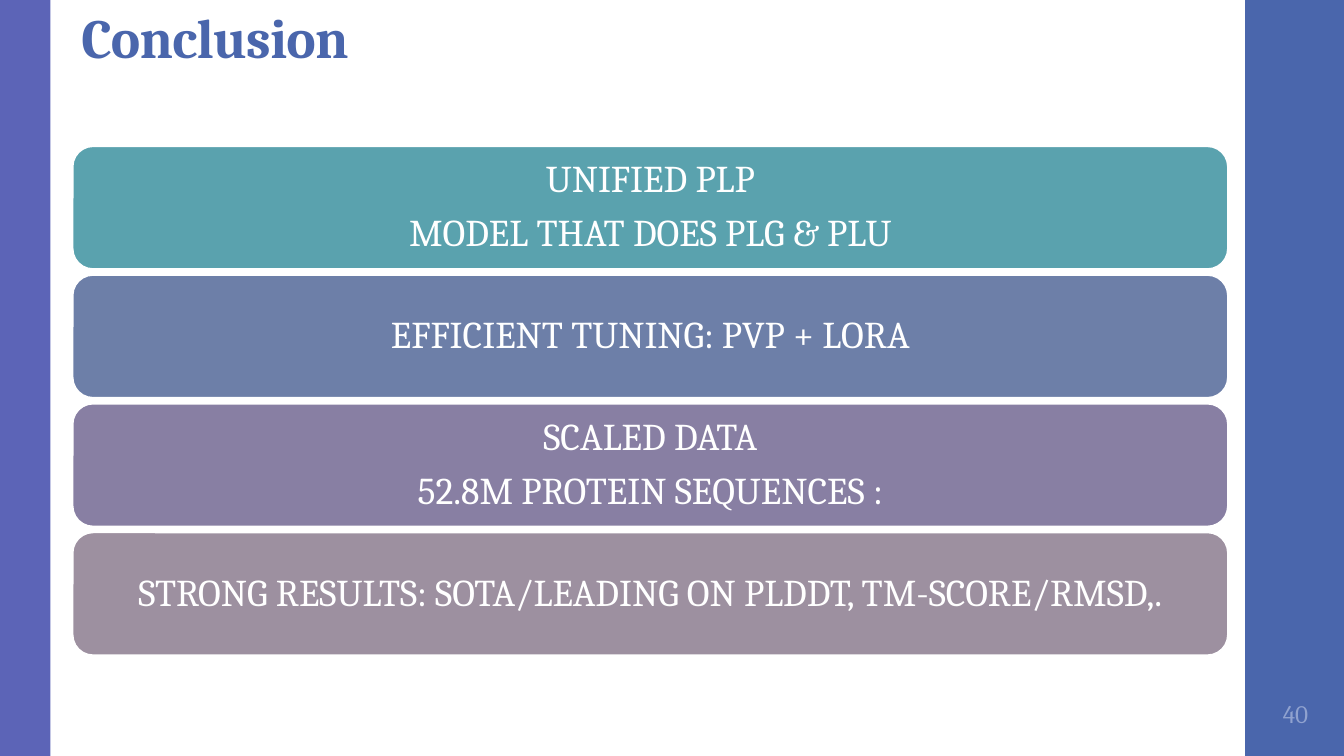
from pptx import Presentation
from pptx.dml.color import RGBColor
from pptx.enum.shapes import MSO_SHAPE
from pptx.enum.text import MSO_ANCHOR, PP_ALIGN
from pptx.util import Inches, Pt

RECTANGLE, ROUNDED = MSO_SHAPE.RECTANGLE, MSO_SHAPE.ROUNDED_RECTANGLE
MIDDLE, BOTTOM = MSO_ANCHOR.MIDDLE, MSO_ANCHOR.BOTTOM
LEFT, CENTER = PP_ALIGN.LEFT, PP_ALIGN.CENTER

WHITE = RGBColor(0xFF, 0xFF, 0xFF)
BLUE = RGBColor(0x4A, 0x66, 0xAC)
INDIGO = RGBColor(0x5C, 0x64, 0xB7)
PALE_BLUE = RGBColor(0x90, 0xA2, 0xCF)
TEAL = RGBColor(0x5A, 0xA2, 0xAE)
SLATE = RGBColor(0x6D, 0x7F, 0xA8)
PURPLE = RGBColor(0x88, 0x7F, 0xA3)
MAUVE = RGBColor(0x9D, 0x90, 0xA0)

CONCLUSIONS = [
    (TEAL, ["UNIFIED PLP", "MODEL THAT DOES PLG & PLU"]),
    (SLATE, ["EFFICIENT TUNING: PVP + LORA"]),
    (PURPLE, ["SCALED DATA", "52.8M PROTEIN SEQUENCES :"]),
    (MAUVE, ["STRONG RESULTS: SOTA/LEADING ON PLDDT, TM-SCORE/RMSD,."]),
]
CARD_TOP, CARD_PITCH = 1.45, 1.277

presentation = Presentation()
presentation.slide_width = Inches(13.33)
presentation.slide_height = Inches(7.5)
slide = presentation.slides.add_slide(presentation.slide_layouts[6])


def add_block(kind, left, top, width, height, color):
    shape = slide.shapes.add_shape(
        kind, Inches(left), Inches(top), Inches(width), Inches(height))
    shape.shadow.inherit = False
    shape.fill.solid()
    shape.fill.fore_color.rgb = color
    shape.line.fill.background()
    return shape


def write_text(shape, lines, margins, anchor, paragraph_format, size, color, bold=False):
    frame = shape.text_frame
    frame.word_wrap = True
    frame.vertical_anchor = anchor
    for side, margin in zip(("left", "top", "right", "bottom"), margins):
        setattr(frame, f"margin_{side}", Inches(margin))
    for index, line in enumerate(lines):
        paragraph = frame.paragraphs[0] if index == 0 else frame.add_paragraph()
        for name, value in paragraph_format.items():
            setattr(paragraph, name, value)
        run = paragraph.add_run()
        run.text = line
        font_format = {"name": "Cambria", "size": Pt(size), "bold": bold}
        for name, value in font_format.items():
            setattr(run.font, name, value)
        run.font.color.rgb = color


add_block(RECTANGLE, 12.35, 0, 1, 7.5, BLUE)
add_block(RECTANGLE, 0, 0, 0.5, 7.5, INDIGO)

card_format = {"alignment": CENTER, "line_spacing": 0.9, "space_after": Pt(9.5)}
for index, (color, lines) in enumerate(CONCLUSIONS):
    card = add_block(ROUNDED, 0.72, CARD_TOP + index * CARD_PITCH, 11.46, 1.22, color)
    card.line.color.rgb = WHITE
    card.line.width = Pt(1.35)
    write_text(card, lines, (0.11, 0.06, 0.11, 0.06), MIDDLE, card_format, 27, WHITE)

title = slide.shapes.add_textbox(Inches(0.71), Inches(0.04), Inches(8.16), Inches(0.71))
write_text(title, ["Conclusion"], (0.1, 0.03, 0.1, 0.05), BOTTOM,
           {"alignment": LEFT, "line_spacing": 0.9}, 39.6, BLUE, bold=True)
title.text_frame.paragraphs[0].runs[0].font._element.set("spc", "-50")

page_number = slide.shapes.add_textbox(Inches(12.35), Inches(6.75), Inches(1), Inches(0.65))
write_text(page_number, ["40"], (0.05, 0.05, 0.05, 0.05), MIDDLE,
           {"alignment": CENTER}, 18, PALE_BLUE)

presentation.save("out.pptx")
